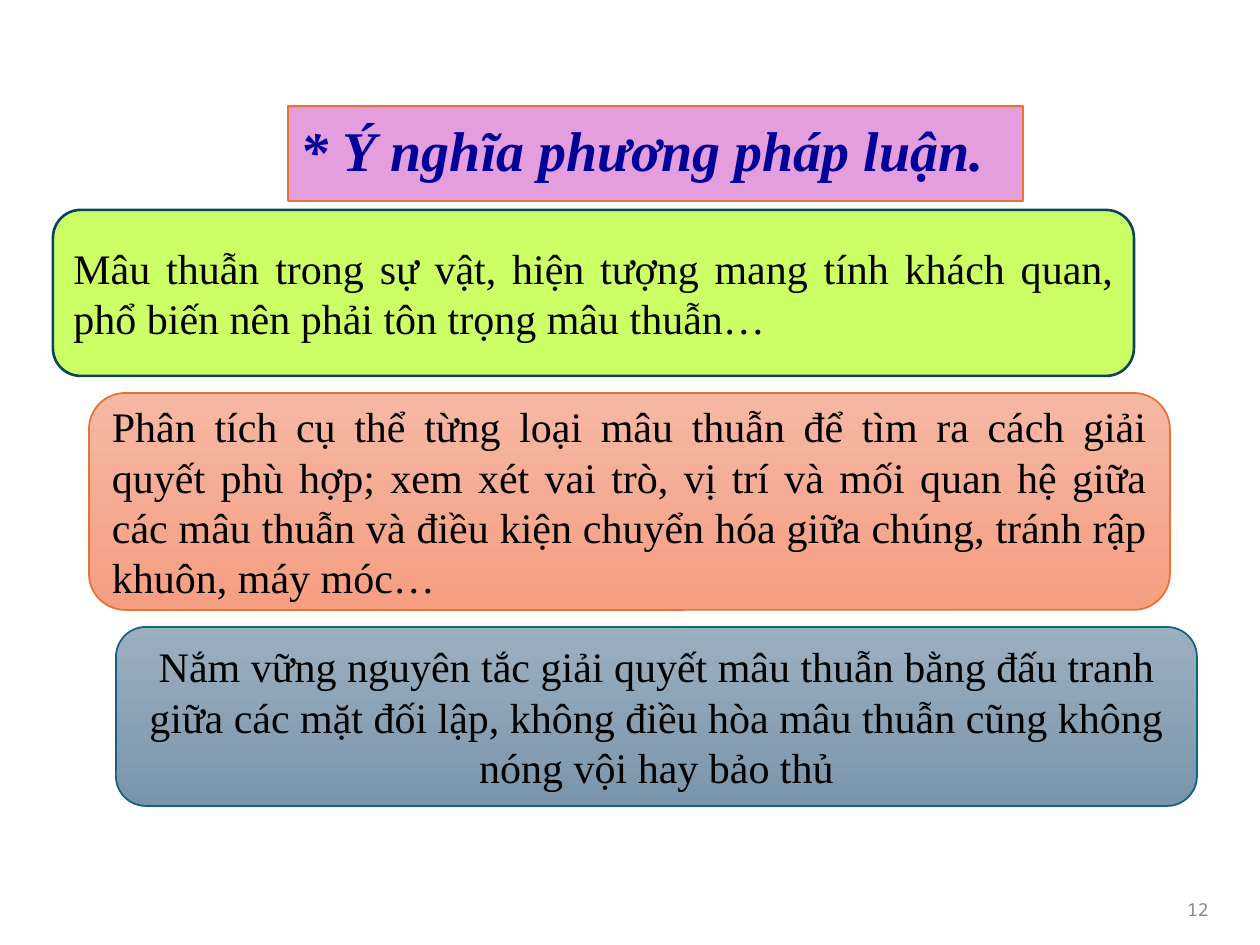
from dataclasses import dataclass

from pptx import Presentation
from pptx.dml.color import RGBColor
from pptx.enum.shapes import MSO_SHAPE
from pptx.enum.text import MSO_ANCHOR, MSO_AUTO_SIZE, PP_ALIGN
from pptx.util import Emu, Pt

ROUND = MSO_SHAPE.ROUNDED_RECTANGLE
MIDDLE = MSO_ANCHOR.MIDDLE
FIXED = MSO_AUTO_SIZE.NONE
LEFT, CENTER, RIGHT, JUSTIFY = PP_ALIGN.LEFT, PP_ALIGN.CENTER, PP_ALIGN.RIGHT, PP_ALIGN.JUSTIFY
SCALE = 914400 / 126


def px(n):
    return Emu(round(n * SCALE))


@dataclass(frozen=True)
class Theme:
    serif: str = "Times New Roman"
    mono: str = "Noto Sans Mono"
    head: float = 32
    body: float = 24
    small: float = 10.2
    navy: str = "000099"
    black: str = "000000"
    gray: str = "898989"
    pink: str = "E59EDD"
    orange: str = "E97132"
    lime: str = "CCFF66"
    teal: str = "0C445E"
    blue: str = "156082"
    coral: tuple = ("F5B8A4", "F59E81")
    steel: tuple = ("9CAFBF", "7A95AB")


class Deck:
    def __init__(self, theme):
        self.theme = theme
        self.prs = Presentation()
        self.prs.slide_width, self.prs.slide_height = px(1260), px(945)
        self.slide = self.prs.slides.add_slide(self.prs.slide_layouts[5])

    def paint(self, shape, fill, line, width):
        if isinstance(fill, tuple):
            shape.fill.gradient()
            shape.fill.gradient_angle = 270
            for stop, color, spot in zip(shape.fill.gradient_stops, fill, (0, 1)):
                stop.color.rgb = RGBColor.from_string(color)
                stop.position = spot
        else:
            shape.fill.solid()
            shape.fill.fore_color.rgb = RGBColor.from_string(fill)
        shape.line.color.rgb = RGBColor.from_string(line)
        shape.line.width = Pt(width)

    def label(self, shape, text, size, color, align, face, space=1.0):
        frame = shape.text_frame
        frame.text = text
        frame.word_wrap = True
        frame.auto_size = FIXED
        frame.vertical_anchor = MIDDLE
        para = frame.paragraphs[0]
        para.alignment = align
        para.line_spacing = space
        para.font.name = face
        para.font.size = Pt(size)
        para.font.color.rgb = RGBColor.from_string(color)
        return para

    def title(self, x, y, w, h, text):
        t = self.theme
        shape = self.slide.shapes.title
        shape.left, shape.top, shape.width, shape.height = map(px, (x, y, w, h))
        self.paint(shape, t.pink, t.orange, 1.5)
        para = self.label(shape, text, t.head, t.navy, LEFT, t.serif, 0.9)
        para.font.bold = para.font.italic = True

    def number(self, x, y, w, h, text):
        t = self.theme
        box = self.slide.shapes.add_textbox(*map(px, (x, y, w, h)))
        self.label(box, text, t.small, t.gray, RIGHT, t.mono, 0.9)

    def card(self, x, y, w, h, text, fill, line, width, align):
        t = self.theme
        shape = self.slide.shapes.add_shape(ROUND, *map(px, (x, y, w, h)))
        shape.adjustments[0] = 0.167
        shape.shadow.inherit = False
        self.paint(shape, fill, line, width)
        self.label(shape, text, t.body, t.black, align, t.serif)


def main():
    t = Theme()
    deck = Deck(t)
    deck.title(288, 106, 735, 95, "* Ý nghĩa phương pháp luận.")
    deck.number(1120, 892, 101, 38, "12")
    cards = (
        (53, 166, "Mâu thuẫn trong sự vật, hiện tượng mang tính khách quan, "
         "phổ biến nên phải tôn trọng mâu thuẫn…", t.lime, t.teal, 1.5, JUSTIFY),
        (89, 217, "Phân tích cụ thể từng loại mâu thuẫn để tìm ra cách giải quyết "
         "phù hợp; xem xét vai trò, vị trí và mối quan hệ giữa các mâu thuẫn và "
         "điều kiện chuyển hóa giữa chúng, tránh rập khuôn, máy móc…",
         t.coral, t.orange, 1, JUSTIFY),
        (116, 179, "Nắm vững nguyên tắc giải quyết mâu thuẫn bằng đấu tranh giữa "
         "các mặt đối lập, không điều hòa mâu thuẫn cũng không nóng vội hay bảo thủ",
         t.steel, t.blue, 1, CENTER),
    )
    top, gap = 210, 17
    for x, h, *rest in cards:
        deck.card(x, top, 1081, h, *rest)
        top += h + gap
    deck.prs.save("out.pptx")


if __name__ == "__main__":
    main()
